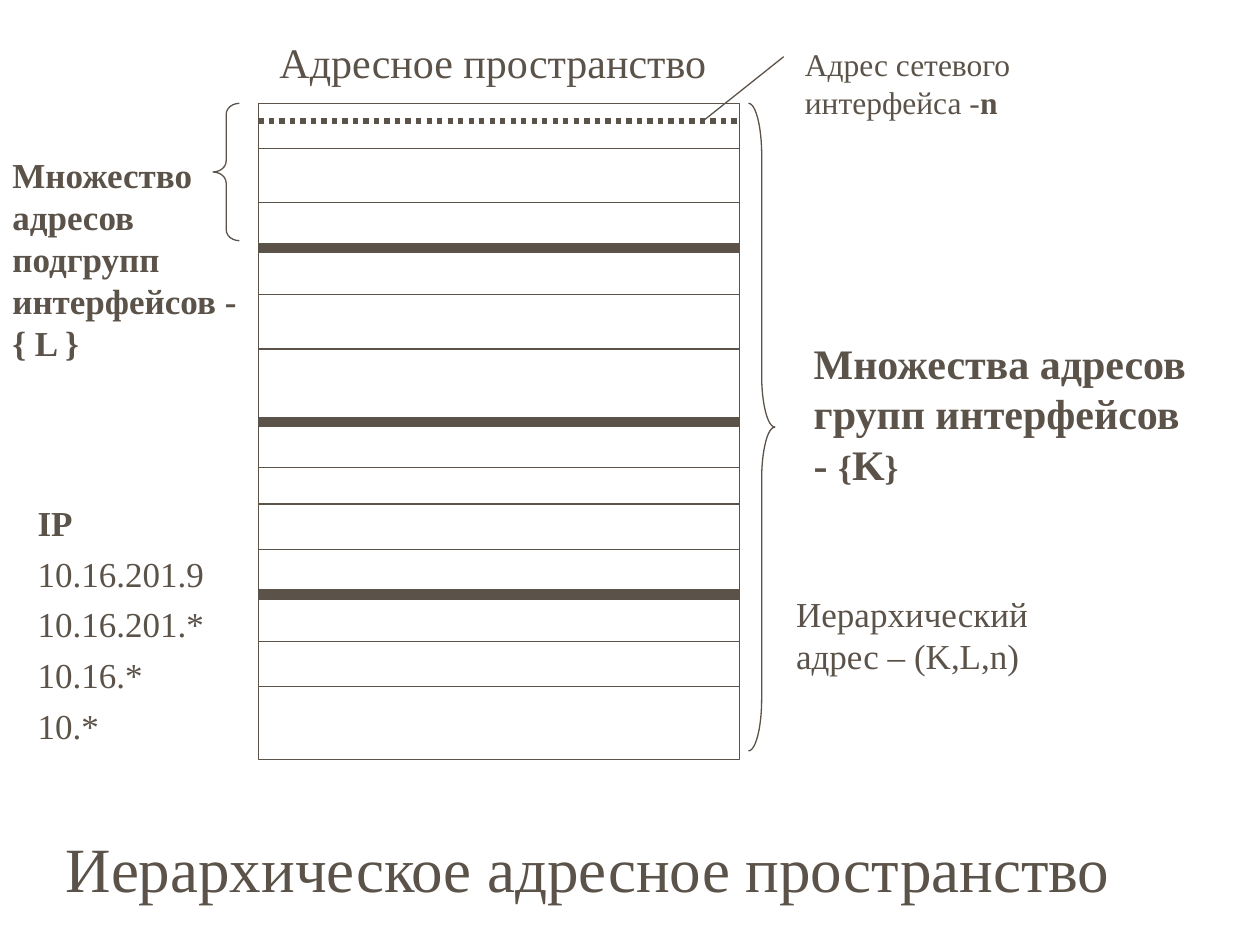
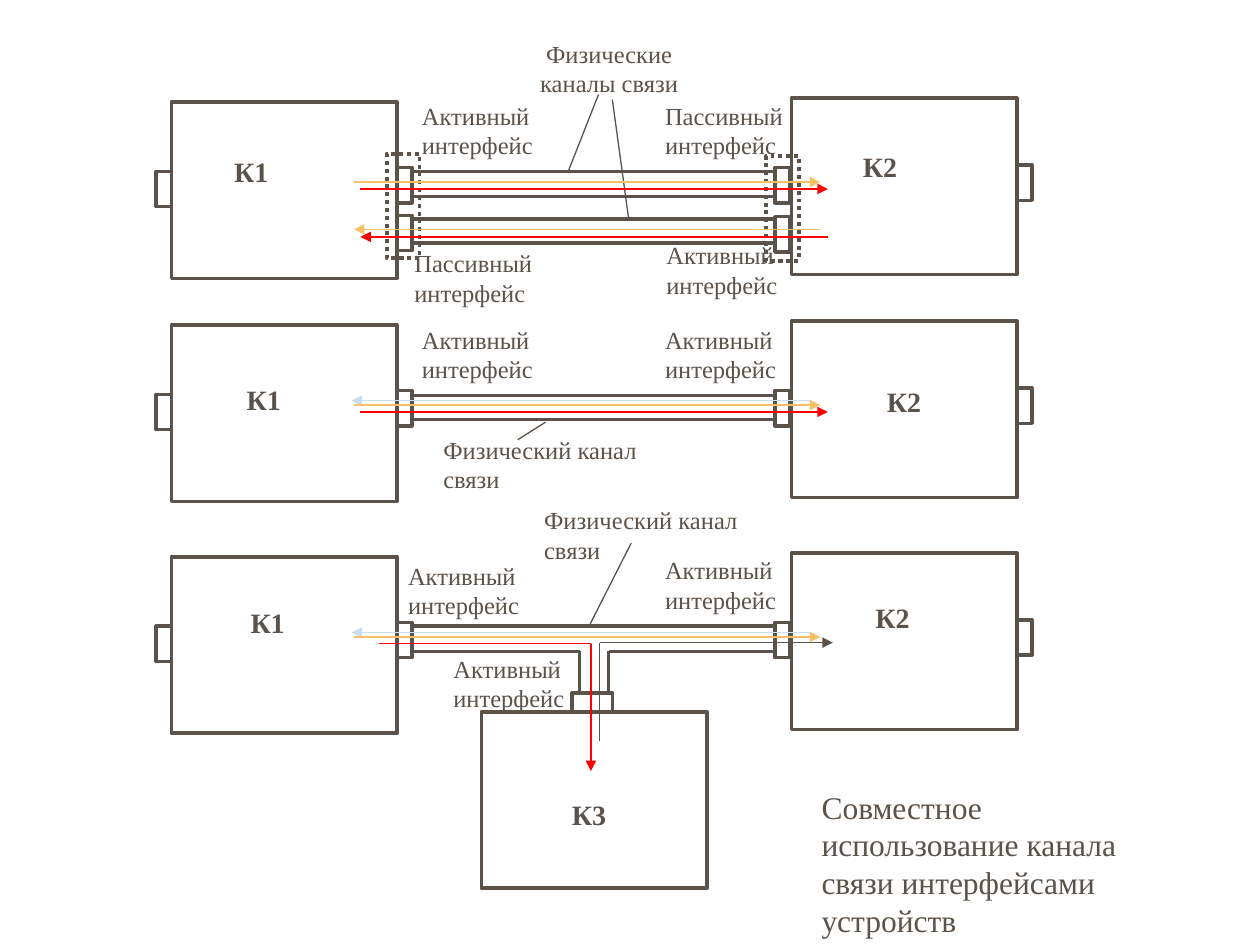
"""Build two slides: a hierarchical address space and interfaces sharing a channel."""
from pptx import Presentation
from pptx.dml.color import RGBColor
from pptx.enum.dml import MSO_LINE
from pptx.enum.shapes import MSO_CONNECTOR, MSO_SHAPE
from pptx.enum.text import MSO_ANCHOR, MSO_AUTO_SIZE, PP_ALIGN
from pptx.oxml.ns import qn
from pptx.util import Inches, Pt
from lxml import etree

RECT = MSO_SHAPE.RECTANGLE
STRAIGHT = MSO_CONNECTOR.STRAIGHT
DOT = MSO_LINE.ROUND_DOT
LEFT, CENTER = PP_ALIGN.LEFT, PP_ALIGN.CENTER
FONT = "Times New Roman"
INK, GOLD, RED, BLUE = "5B5249", "FAC164", "FF0000", "C9DDF1"
ACTIVE, PASSIVE = "Активный интерфейс", "Пассивный интерфейс"
CHANNEL = "Физический канал связи"


def outline(sp, color=INK, width=0.75, dash=None, arrow=False):
    """Give a shape or connector a plain line, with an optional arrowhead."""
    sp.line.color.rgb = RGBColor.from_string(color)
    sp.line.width = Pt(width)
    if dash:
        sp.line.dash_style = dash
    spPr = sp._element.spPr
    if arrow:
        etree.SubElement(spPr.find(qn("a:ln")), qn("a:tailEnd"), type="triangle")
    etree.SubElement(spPr, qn("a:effectLst"))


def write(sp, at, *paras, size=14, bold=False, align=LEFT, gap=0):
    """Place a text shape and fill it; a paragraph is a string or (text, size, bold) runs."""
    sp.left, sp.top, sp.width, sp.height = [Inches(v) for v in at]
    tf = sp.text_frame
    tf.word_wrap = True
    tf.auto_size = MSO_AUTO_SIZE.NONE
    tf.vertical_anchor = MSO_ANCHOR.TOP
    for i, para in enumerate(paras):
        p = tf.add_paragraph() if i else tf.paragraphs[0]
        p.alignment = align
        p.space_before = Pt(gap if i else 0)
        for text, run_size, run_bold in [(para, size, bold)] if isinstance(para, str) else para:
            r = p.add_run()
            r.text = text
            r.font.name = FONT
            r.font.size = Pt(run_size)
            r.font.bold = run_bold
            r.font.color.rgb = RGBColor.from_string(INK)


prs = Presentation()
prs.slide_width, prs.slide_height = Inches(10), Inches(7.5)
title_only = prs.slide_layouts[5]

s = prs.slides.add_slide(title_only)
write(s.shapes.title, (0.42, 6.53, 9, 0.7), "Иерархическое адресное пространство", size=36)

space_left, space_right = 2.05, 5.87
for kind, at, adj in [
    (RECT, (space_left, 0.82, space_right - space_left, 5.21), ()),
    (MSO_SHAPE.LEFT_BRACE, (1.69, 0.82, 0.21, 1.09), (0.417, 0.5)),
    (MSO_SHAPE.RIGHT_BRACE, (5.94, 0.82, 0.21, 5.14), (1.972, 0.5)),
]:
    sp = s.shapes.add_shape(kind, *[Inches(v) for v in at])
    for i, value in enumerate(adj):
        sp.adjustments[i] = value
    sp.fill.background()
    outline(sp)

for ys, width, dash in [
    ((1.97, 3.35, 4.72), 6, None),
    ((1.18, 1.61, 2.34, 2.77, 3.71, 4, 4.36, 5.09, 5.45), 0.75, None),
    ((0.96,), 3, DOT),
]:
    for y in ys:
        ends = (space_left, y, space_right, y)
        outline(s.shapes.add_connector(STRAIGHT, *[Inches(v) for v in ends]), width=width, dash=dash)
ends = (5.58, 0.96, 6.22, 0.45)
outline(s.shapes.add_connector(STRAIGHT, *[Inches(v) for v in ends]))

for at, paras, fmt in [
    ((6.36, 2.63, 3.17, 1.3),
     [[("Множества адресов групп интерфейсов - ", 24, True), ("{", 20, True),
       ("K", 24, True), ("}", 20, True)]], {}),
    ((0, 1.17, 2, 1.77), ["Множество адресов подгрупп интерфейсов -{ L }"],
     {"size": 20, "bold": True}),
    ((2.12, 0.24, 4.74, 0.5), ["Адресное пространство"], {"size": 24}),
    ((6.29, 0.31, 2.26, 0.7),
     [[("Адрес сетевого интерфейса -", 18, False), ("n", 18, True)]], {}),
    ((6.22, 4.65, 2.19, 0.77), ["Иерархический адрес – (K,L,n)"], {"size": 20}),
    ((0.2, 3.93, 1.6, 2.05),
     [[("IP", 20, True)], "10.16.201.9", "10.16.201.*", "10.16.*", "10.*"],
     {"size": 20, "gap": 5}),
]:
    write(s.shapes.add_textbox(0, 0, 0, 0), at, *paras, **fmt)

s = prs.slides.add_slide(title_only)
write(s.shapes.title, (6.42, 6.2, 3.01, 1.3),
      "Совместное использование канала связи интерфейсами устройств", size=18)

row1, row2, row3 = rows = (0.81, 2.58, 4.42)
boxes = [(3.82, 5.65, 1.79, 1.4), (4.54, 5.5, 0.32, 0.15),
         (3.15, 1.71, 0.12, 0.28), (6.15, 1.72, 0.12, 0.28)]
for top in rows:
    boxes += [(1.36, top, 1.79, 1.4), (6.28, top - 0.03, 1.79, 1.4)]
    boxes += [(x, top + dy, 0.12, 0.28)
              for x, dy in [(1.24, 0.55), (3.15, 0.52), (6.15, 0.52), (8.07, 0.5)]]
for at in boxes:
    sp = s.shapes.add_shape(RECT, *[Inches(v) for v in at])
    sp.fill.background()
    outline(sp, width=2)
for at in [(3.07, 1.22, 0.26, 0.83), (6.08, 1.24, 0.26, 0.83)]:
    sp = s.shapes.add_shape(RECT, *[Inches(v) for v in at])
    sp.fill.background()
    outline(sp, width=2.25, dash=DOT)

walls = [(3.26, y, 6.14, y) for y in (1.36, 1.56, 1.74, 1.93, 3.14, 3.33, 4.97)]
walls += [(3.26, 5.17, 4.6, 5.17), (4.6, 5.17, 4.6, 5.49),
          (6.14, 5.17, 4.83, 5.17), (4.83, 5.17, 4.83, 5.49)]
pointers = [(4.75, 0.75, 4.51, 1.36), (4.86, 0.79, 4.99, 1.74),
            (4.11, 3.49, 4.33, 3.35), (5.01, 4.31, 4.68, 4.96), (4.76, 5.88, 4.76, 5.1)]
gold_flows = [(2.81, top + 0.635, 6.51, top + 0.635) for top in rows]
gold_flows += [(6.51, 1.82, 2.81, 1.82)]
red_flows = [(2.86, top + 0.69, 6.57, top + 0.69) for top in (row1, row2)]
red_flows += [(6.57, 1.88, 2.86, 1.88), (4.69, 5.11, 4.69, 6.12)]
blue_flows = [(6.43, top + 0.6, 2.79, top + 0.6) for top in (row2, row3)]
for lines, color, width, arrow in [
    (walls, INK, 2, False),
    (pointers, INK, 0.75, False),
    (blue_flows, BLUE, 0.75, True),
    (gold_flows, GOLD, 0.75, True),
    ([(3.01, 5.11, 4.69, 5.11)], RED, 0.75, False),
    (red_flows, RED, 0.75, True),
    ([(4.76, 5.1, 6.61, 5.1)], INK, 0.75, True),
]:
    for ends in lines:
        outline(s.shapes.add_connector(STRAIGHT, *[Inches(v) for v in ends]),
                color, width, arrow=arrow)

for x, y, text in [
    (3.25, 0.75, ACTIVE), (5.18, 0.75, PASSIVE), (3.19, 1.92, PASSIVE), (5.19, 1.86, ACTIVE),
    (3.25, 2.53, ACTIVE), (5.18, 2.53, ACTIVE),
    (3.14, 4.4, ACTIVE), (5.18, 4.36, ACTIVE), (3.5, 5.14, ACTIVE),
]:
    write(s.shapes.add_textbox(0, 0, 0, 0), (x, y, 1.2, 0.57), text)
for x, y, text, align in [
    (3.92, 0.26, "Физические каналы связи", CENTER),
    (3.42, 3.4, CHANNEL, LEFT),
    (4.22, 3.96, CHANNEL, LEFT),
]:
    write(s.shapes.add_textbox(0, 0, 0, 0), (x, y, 1.83, 0.57), text, align=align)
for x, y, text in [
    (1.76, 1.18, "К1"), (6.75, 1.14, "К2"), (1.86, 2.99, "К1"), (6.94, 3, "К2"),
    (1.89, 4.76, "К1"), (6.85, 4.72, "К2"), (4.44, 6.28, "К3"),
]:
    write(s.shapes.add_textbox(0, 0, 0, 0), (x, y, 0.53, 0.37), text, size=16, bold=True)

prs.save("out.pptx")
